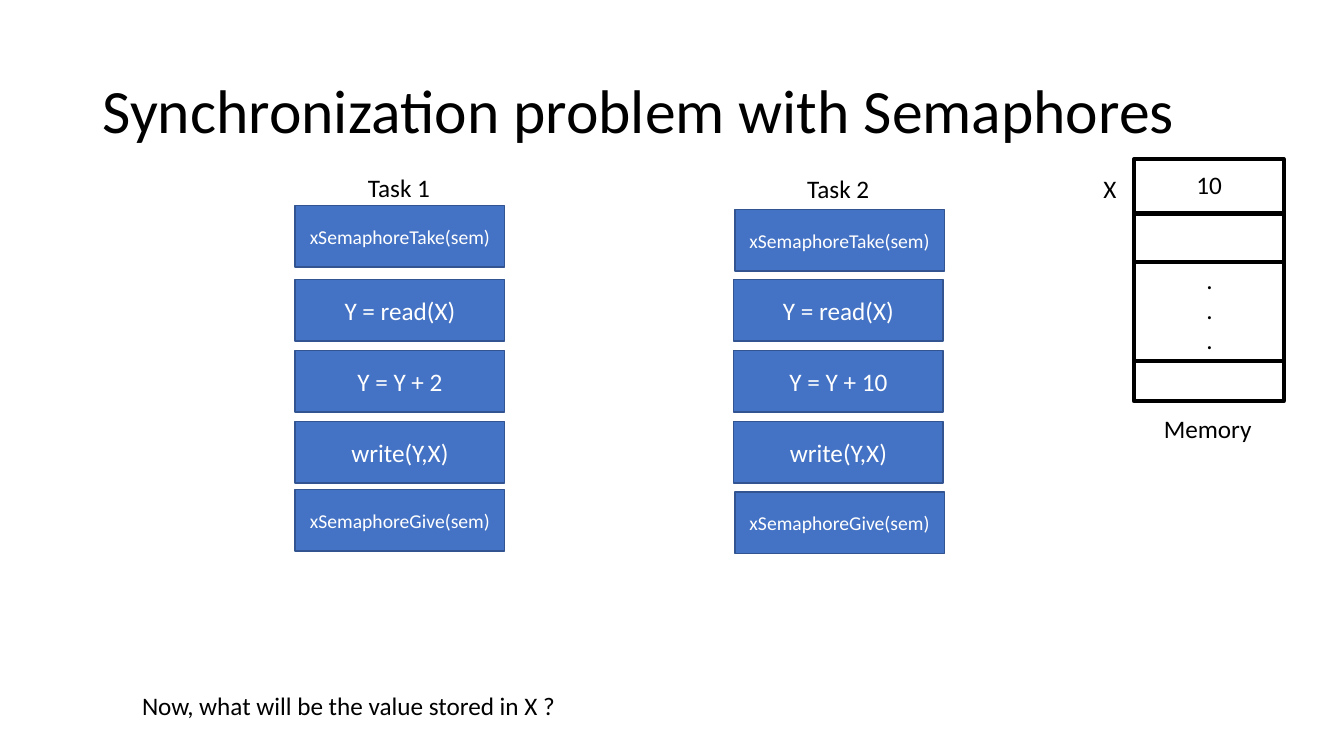
"""Build the slide on the synchronization problem with semaphores."""
from dataclasses import dataclass

import lxml.etree
import pptx
import pptx.dml.color
import pptx.enum.shapes
import pptx.enum.text
import pptx.oxml.ns
import pptx.util

Cm = pptx.util.Cm
Pt = pptx.util.Pt
RGB = pptx.dml.color.RGBColor.from_string
ANCHOR = pptx.enum.text.MSO_ANCHOR
ALIGN = pptx.enum.text.PP_ALIGN

HEADING = "Synchronization problem with Semaphores"
TASKS = [
    {"label": "Task 1", "label_at": (9.02, 4.22), "left": 7.44,
     "steps": ["Y = read(X)", "Y = Y + 2", "write(Y,X)"],
     "guard_left": 7.44, "take_top": 5.18, "give_top": 12.34},
    {"label": "Task 2", "label_at": (20.09, 4.24), "left": 18.49,
     "steps": ["Y = read(X)", "Y = Y + 10", "write(Y,X)"],
     "guard_left": 18.52, "take_top": 5.28, "give_top": 12.4},
]
TAKE, GIVE = "xSemaphoreTake(sem)", "xSemaphoreGive(sem)"
STEP_TOP, STEP_PITCH = 7.04, 1.79
STEP_SIZE = (5.28, 1.55)
MEMORY = (28.58, 4.01, 3.77, 6.1)
MEMORY_DIVIDERS = [5.38, 6.6, 9.09]
NOTES = [
    (".\n.\n.", 30.15, 6.53, 0.64, 2.57),
    ("X", 27.56, 4.24, 0.84, 1.02),
    ("Memory", 29.08, 10.29, 2.74, 1.02),
    ("10", 29.9, 4.14, 1.17, 1.02),
    ("Now, what will be the value stored in X ?", 3.33, 17.27, 10.95, 1.02),
]


@dataclass(frozen=True)
class Theme:
    """Colours, font and type sizes."""
    font: str = "Calibri"
    ink: str = "000000"
    paper: str = "FFFFFF"
    step_fill: str = "4472C4"
    step_edge: str = "325491"
    heading: int = 44
    body: int = 18
    guard: int = 14


THEME = Theme()


def write(frame, text, size, colour, align=ALIGN.LEFT):
    """Set text and format every run."""
    frame.text = text
    for paragraph in frame.paragraphs:
        paragraph.alignment = align
        for run in paragraph.runs:
            run.font.name = THEME.font
            run.font.size = Pt(size)
            run.font.color.rgb = RGB(colour)


def add_box(slide, bounds, fill, edge, weight):
    """Add a filled rectangle."""
    box = slide.shapes.add_shape(
        pptx.enum.shapes.MSO_SHAPE.RECTANGLE, *map(Cm, bounds))
    box.shadow.inherit = False
    box.fill.solid()
    box.fill.fore_color.rgb = RGB(fill)
    box.line.color.rgb = RGB(edge)
    box.line.width = Pt(weight)
    return box


def add_step(slide, text, left, top, size):
    """Add one operation of a task."""
    step = add_box(slide, (left, top, *STEP_SIZE),
                   THEME.step_fill, THEME.step_edge, 1)
    step.text_frame.word_wrap = True
    step.text_frame.vertical_anchor = ANCHOR.MIDDLE
    write(step.text_frame, text, size, THEME.paper, ALIGN.CENTER)


def add_note(slide, text, *bounds):
    """Add a plain text label."""
    note = slide.shapes.add_textbox(*map(Cm, bounds))
    note.text_frame.word_wrap = False
    write(note.text_frame, text, THEME.body, THEME.ink)


def add_task(slide, task):
    """Add a labelled column of operations guarded by the semaphore."""
    add_note(slide, task["label"], *task["label_at"], 2.08, 1.02)
    for row, text in enumerate(task["steps"]):
        add_step(slide, text, task["left"], STEP_TOP + row * STEP_PITCH, THEME.body)
    for text, top in ((TAKE, task["take_top"]), (GIVE, task["give_top"])):
        add_step(slide, text, task["guard_left"], top, THEME.guard)


def add_memory(slide):
    """Add the memory block and its dividers."""
    add_box(slide, MEMORY, THEME.paper, THEME.ink, 3)
    left, _, width, _ = MEMORY
    for top in MEMORY_DIVIDERS:
        divider = slide.shapes.add_connector(
            pptx.enum.shapes.MSO_CONNECTOR.STRAIGHT,
            Cm(left), Cm(top), Cm(left + width), Cm(top))
        divider.line.color.rgb = RGB(THEME.ink)
        divider.line.width = Pt(3)
        lxml.etree.SubElement(
            divider.element.spPr, pptx.oxml.ns.qn("a:effectLst"))


def add_heading(slide):
    """Place and format the title."""
    title = slide.shapes.title
    title.left, title.top, title.width, title.height = map(
        Cm, (2.33, 1.01, 29.21, 3.68))
    title.text_frame.vertical_anchor = ANCHOR.MIDDLE
    write(title.text_frame, HEADING, THEME.heading, THEME.ink)
    title.text_frame.paragraphs[0].line_spacing = 0.9


def main():
    """Build and save the presentation."""
    deck = pptx.Presentation()
    deck.slide_width, deck.slide_height = Cm(33.87), Cm(19.05)
    slide = deck.slides.add_slide(deck.slide_layouts[5])
    add_heading(slide)
    for task in TASKS:
        add_task(slide, task)
    add_memory(slide)
    for note in NOTES:
        add_note(slide, *note)
    deck.save("out.pptx")


if __name__ == "__main__":
    main()
